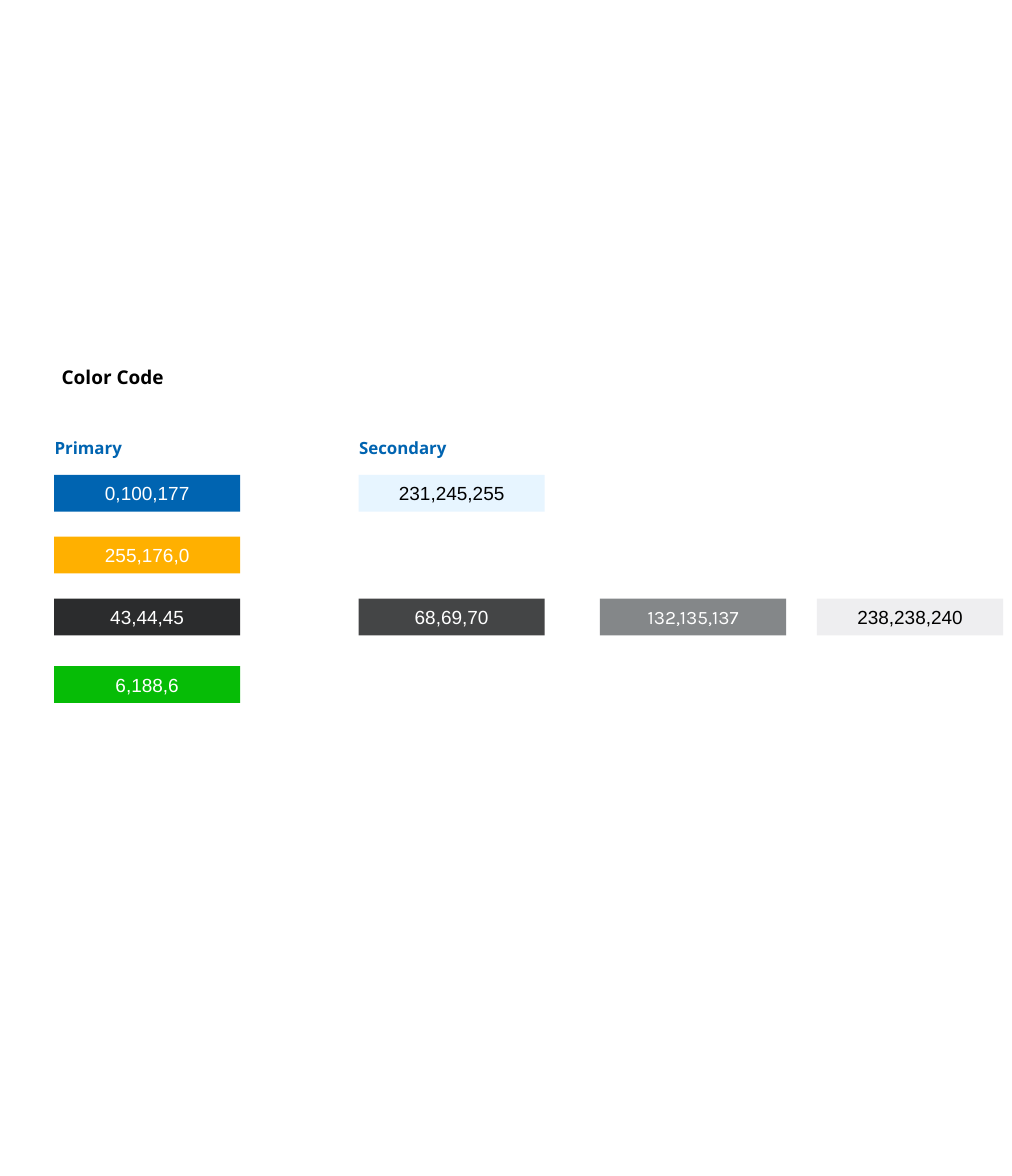
import pptx
import pptx.util
import pptx.dml.color
import pptx.enum.shapes
import pptx.enum.text

Cm = pptx.util.Cm
RGBColor = pptx.dml.color.RGBColor
ALIGN = pptx.enum.text.PP_ALIGN
ANCHOR = pptx.enum.text.MSO_ANCHOR

BLACK = RGBColor(0, 0, 0)
WHITE = RGBColor(255, 255, 255)
BLUE = RGBColor(0, 100, 177)
AMBER = RGBColor(255, 176, 0)
COAL = RGBColor(43, 44, 45)
GREEN = RGBColor(6, 188, 6)
ICE = RGBColor(231, 245, 255)
SLATE = RGBColor(68, 69, 70)
GREY = RGBColor(132, 135, 137)
MIST = RGBColor(238, 238, 240)

ROWS = (1.37, 3.44, 5.51, 7.77)
WIDE, HIGH = 6.23, 1.23

MAIN = [(BLUE, 0, 0, WHITE, "Arial"), (AMBER, 0, 1, WHITE, "Arial"),
        (COAL, 0, 2, WHITE, "Arial"), (GREEN, 0, 3, WHITE, "Arial")]
EXTRA = [(ICE, 0, 0, BLACK, "Arial"), (SLATE, 0, 2, WHITE, "Arial"),
         (GREY, 8.08, 2, WHITE, "Karla"), (MIST, 15.34, 2, BLACK, "Arial")]


def write(shape, text, font="Open Sans", size=18, ink=BLACK, bold=False,
          align=ALIGN.LEFT, anchor=ANCHOR.TOP):
    frame = shape.text_frame
    frame.word_wrap = True
    frame.auto_size = pptx.enum.text.MSO_AUTO_SIZE.NONE
    frame.vertical_anchor = anchor
    line = frame.paragraphs[0]
    line.alignment = align
    run = line.add_run()
    run.text = text
    run.font.name = font
    run.font.size = pptx.util.Pt(size)
    run.font.bold = bold
    run.font.color.rgb = ink


def add_title(slide, left, top, width, height):
    title = slide.shapes.title
    title.left, title.top = Cm(left), Cm(top)
    title.width, title.height = Cm(width), Cm(height)
    write(title, "Color Code", bold=True)


def add_swatch(slide, left, top, color, ink, font):
    swatch = slide.shapes.add_shape(
        pptx.enum.shapes.MSO_SHAPE.RECTANGLE,
        Cm(left), Cm(top), Cm(WIDE), Cm(HIGH))
    swatch.shadow.inherit = False
    swatch.fill.solid()
    swatch.fill.fore_color.rgb = color
    swatch.line.fill.background()
    write(swatch, ",".join(map(str, color)), font=font, ink=ink,
          align=ALIGN.CENTER, anchor=ANCHOR.MIDDLE)


def add_group(slide, left, top, name, colors):
    head = slide.shapes.add_textbox(
        Cm(left - 0.23), Cm(top), Cm(4.88), Cm(0.94))
    write(head, name, size=16, ink=BLUE, bold=True)
    for color, shift, row, ink, font in colors:
        add_swatch(slide, left + shift, top + ROWS[row], color, ink, font)


def main():
    deck = pptx.Presentation()
    deck.slide_width, deck.slide_height = Cm(101.6 / 3), Cm(39.37)
    slide = deck.slides.add_slide(deck.slide_layouts[5])
    add_title(slide, 1.81, 12.11, 11.38, 1.02)
    add_group(slide, 1.81, 14.53, "Primary", MAIN)
    add_group(slide, 12, 14.53, "Secondary", EXTRA)
    deck.save("out.pptx")


if __name__ == "__main__":
    main()
